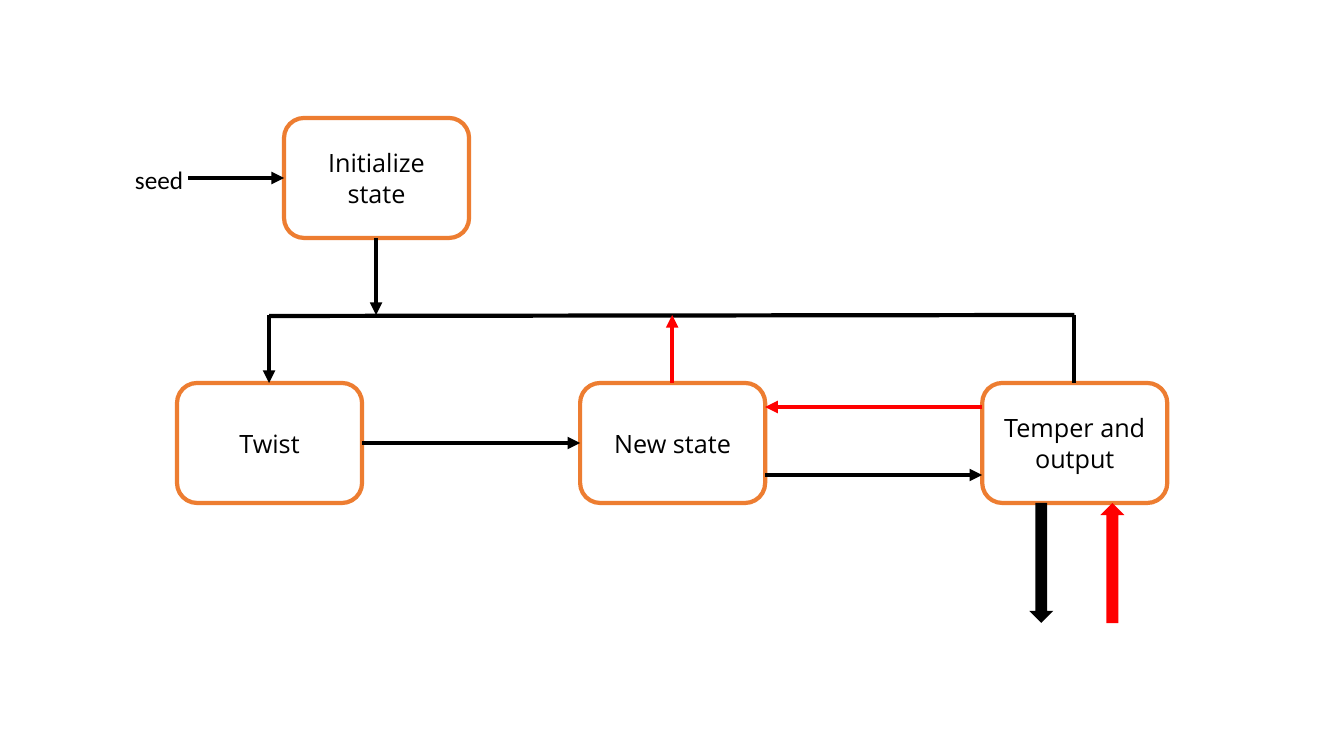
from pptx import Presentation
from pptx.dml.color import RGBColor
from pptx.enum.shapes import MSO_CONNECTOR, MSO_SHAPE
from pptx.enum.text import MSO_ANCHOR, PP_ALIGN
from pptx.oxml.ns import qn
from pptx.util import Inches, Pt
from lxml.etree import SubElement

COLORS = {"black": "000000", "red": "FF0000", "orange": "ED7D31", "white": "FFFFFF"}
STEP_W, STEP_H = 185, 120
ROW_TOP, BUS_Y = 383, 315
STEPS = {
    "Initialize state": (284, 118),
    "Twist": (177, ROW_TOP),
    "New state": (580, ROW_TOP),
    "Temper and output": (982, ROW_TOP),
}
(init_x, init_y), (twist_x, _), (new_x, _), (temper_x, _) = STEPS.values()
HALF_W, HALF_H = STEP_W // 2, STEP_H // 2
ROW_BOTTOM, ROW_MIDDLE = ROW_TOP + STEP_H, ROW_TOP + HALF_H

# start x, start y, end x, end y, color, arrowhead at the end
LINES = [
    (188, init_y + HALF_H, init_x, init_y + HALF_H, "black", True),
    (temper_x + HALF_W, BUS_Y, temper_x + HALF_W, ROW_TOP, "black", False),
    (twist_x + HALF_W, BUS_Y + 1, temper_x + HALF_W, BUS_Y, "black", False),
    (twist_x + HALF_W, BUS_Y, twist_x + HALF_W, ROW_TOP, "black", True),
    (init_x + HALF_W, init_y + STEP_H, init_x + HALF_W, BUS_Y, "black", True),
    (twist_x + STEP_W, ROW_MIDDLE, new_x, ROW_MIDDLE, "black", True),
    (new_x + STEP_W, 475, temper_x, 475, "black", True),
    (temper_x, 407, new_x + STEP_W, 407, "red", True),
    (new_x + HALF_W, ROW_TOP, new_x + HALF_W, BUS_Y, "red", True),
]
# left, color, rotation
BLOCK_ARROWS = [(1029, "black", 0), (1100, "red", 180)]


def px(*lengths):
    return [round(length * 914400 / 100.8) for length in lengths]


def color(name):
    return RGBColor.from_string(COLORS[name])


def write(box, text, font):
    para = box.text_frame.paragraphs[0]
    span = para.add_run()
    span.text = text
    span.font.name, span.font.size = font, Pt(18)
    span.font.color.rgb = color("black")
    return para


def add_filled(kind, bounds, fill):
    shape = page.shapes.add_shape(kind, *px(*bounds))
    shape.shadow.inherit = False
    shape.fill.solid()
    shape.fill.fore_color.rgb = color(fill)
    return shape


deck = Presentation()
deck.slide_width, deck.slide_height = Inches(13.33), Inches(7.5)
page = deck.slides.add_slide(deck.slide_layouts[6])

# Process steps
for label, (left, top) in STEPS.items():
    step = add_filled(MSO_SHAPE.FLOWCHART_ALTERNATE_PROCESS,
                      (left, top, STEP_W, STEP_H), "white")
    step.line.color.rgb = color("orange")
    step.line.width = Pt(3)
    step.text_frame.word_wrap = True
    step.text_frame.vertical_anchor = MSO_ANCHOR.MIDDLE
    write(step, label, "Open Sans").alignment = PP_ALIGN.CENTER

# Seed label
seed = page.shapes.add_textbox(*px(125, 159, 104, 40))
seed.text_frame.word_wrap = True
write(seed, "seed", "Calibri")

# Flow lines
for *ends, name, has_head in LINES:
    flow = page.shapes.add_connector(MSO_CONNECTOR.STRAIGHT, *px(*ends))
    flow.line.color.rgb = color(name)
    flow.line.width = Pt(3)
    if has_head:
        SubElement(flow.line._get_or_add_ln(), qn("a:tailEnd"), type="triangle")
    SubElement(flow._element.spPr, qn("a:effectLst"))

# Output and feedback arrows
for left, name, rotation in BLOCK_ARROWS:
    arrow = add_filled(MSO_SHAPE.DOWN_ARROW, (left, ROW_BOTTOM, 24, STEP_H), name)
    arrow.line.fill.background()
    arrow.rotation = rotation

deck.save("out.pptx")
